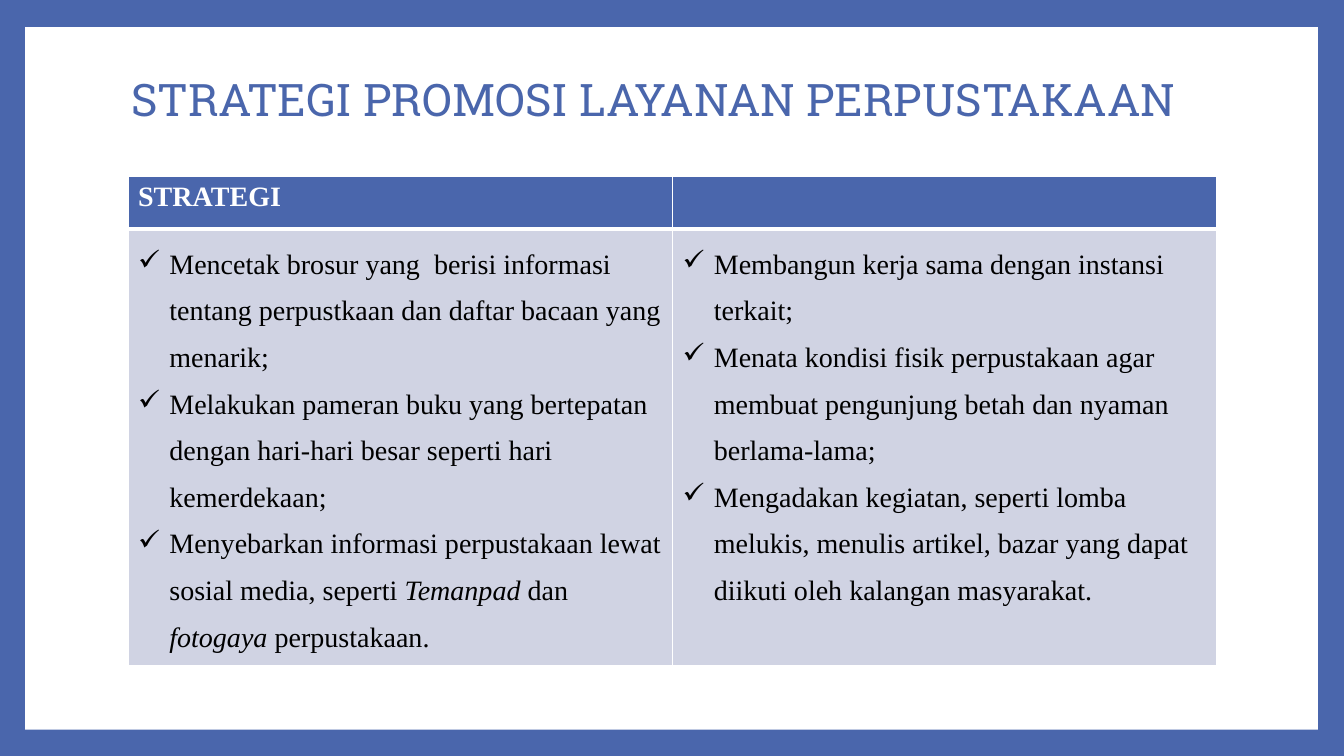
from lxml.etree import SubElement
from pptx import Presentation
from pptx.dml.color import RGBColor
from pptx.enum.shapes import MSO_SHAPE as Shape
from pptx.enum.text import MSO_ANCHOR as Anchor, MSO_AUTO_SIZE as AutoSize, PP_ALIGN as Align
from pptx.oxml.ns import qn
from pptx.util import Inches, Pt

COLORS = {"blue": "4A66AC", "white": "FFFFFF", "pale": "D0D3E3", "black": "000000"}
HEADERS = ["STRATEGI", ""]
STRATEGIES = [
    [
        ["Mencetak brosur yang  berisi informasi tentang perpustkaan dan daftar bacaan yang menarik;"],
        ["Melakukan pameran buku yang bertepatan dengan hari-hari besar seperti hari kemerdekaan;"],
        ["Menyebarkan informasi perpustakaan lewat sosial media, seperti ",
         "Temanpad ", "dan ", "fotogaya ", "perpustakaan."],
    ],
    [
        ["Membangun kerja sama dengan instansi terkait;"],
        ["Menata kondisi fisik perpustakaan agar membuat pengunjung betah dan nyaman berlama-lama;"],
        ["Mengadakan kegiatan, seperti lomba melukis, menulis artikel, bazar yang dapat "
         "diikuti oleh kalangan masyarakat."],
    ],
]


class SlideBuilder:
    title_font = "Roboto Slab"
    table_font = "Times New Roman"
    table_size = 20

    def __init__(self, slide):
        self.slide = slide

    def color(self, name):
        return RGBColor.from_string(COLORS[name])

    def paint(self, fill, name):
        fill.solid()
        fill.fore_color.rgb = self.color(name)

    def run(self, paragraph, text, font, size, color, bold=False, italic=False):
        run = paragraph.add_run()
        run.text = text
        run.font.name = font
        run.font.size = Pt(size)
        run.font.bold = bold
        run.font.italic = italic
        run.font.color.rgb = self.color(color)

    def panel(self, left, top, width, height):
        shape = self.slide.shapes.add_shape(
            Shape.RECTANGLE, Inches(left), Inches(top), Inches(width), Inches(height))
        shape.shadow.inherit = False
        self.paint(shape.fill, "white")
        shape.line.fill.background()
        self.slide.shapes.title._element.addprevious(shape._element)

    def title(self, text, left, top, width, height):
        shape = self.slide.shapes.title
        shape.left, shape.top = Inches(left), Inches(top)
        shape.width, shape.height = Inches(width), Inches(height)
        frame = shape.text_frame
        frame.word_wrap = True
        frame.auto_size = AutoSize.NONE
        frame.vertical_anchor = Anchor.MIDDLE
        paragraph = frame.paragraphs[0]
        paragraph.alignment = Align.LEFT
        paragraph.line_spacing = 0.9
        self.run(paragraph, text, self.title_font, 32, "blue")

    def table(self, left, top, width, row_heights):
        table = self.slide.shapes.add_table(
            len(row_heights), len(HEADERS), Inches(left), Inches(top),
            Inches(width), Inches(sum(row_heights))).table
        for row, height in zip(table.rows, row_heights):
            row.height = Inches(height)
        for column, (header, strategies) in enumerate(zip(HEADERS, STRATEGIES)):
            heading, body = table.cell(0, column), table.cell(1, column)
            self.cell(heading, "blue", {"L": 1, "R": 1, "T": 1, "B": 3})
            self.cell(body, "pale", {"L": 1, "R": 1, "T": 3, "B": 1})
            if header:
                self.run(heading.text_frame.paragraphs[0], header,
                         self.table_font, self.table_size, "white", bold=True)
            self.checklist(body.text_frame, strategies)

    def cell(self, cell, fill, borders):
        self.paint(cell.fill, fill)
        properties = cell._tc.get_or_add_tcPr()
        for index, (side, width) in enumerate(borders.items()):
            line = SubElement(properties, qn(f"a:ln{side}"), w=str(Pt(width)))
            SubElement(SubElement(line, qn("a:solidFill")), qn("a:srgbClr"), val=COLORS["white"])
            properties.insert(index, line)

    def checklist(self, frame, items):
        for index, pieces in enumerate(items):
            paragraph = frame.add_paragraph() if index else frame.paragraphs[0]
            paragraph.line_spacing = 1.5
            properties = paragraph._p.get_or_add_pPr()
            properties.set("marL", str(Inches(0.31)))
            properties.set("indent", str(-Inches(0.31)))
            SubElement(properties, qn("a:buChar"), char="✓")
            for position, text in enumerate(pieces):
                self.run(paragraph, text, self.table_font, self.table_size, "black",
                         italic=position % 2 == 1)


def main():
    presentation = Presentation()
    presentation.slide_width = Inches(13.33)
    presentation.slide_height = Inches(7.5)
    slide = presentation.slides.add_slide(presentation.slide_layouts[5])
    builder = SlideBuilder(slide)
    builder.paint(slide.background.fill, "blue")
    builder.panel(0.25, 0.27, 12.82, 6.97)
    builder.title("STRATEGI PROMOSI LAYANAN PERPUSTAKAAN", 1.2, 0.27, 10.8, 1.48)
    builder.table(1.27, 1.75, 10.8, [0.52, 4.33])
    presentation.save("out.pptx")


if __name__ == "__main__":
    main()
